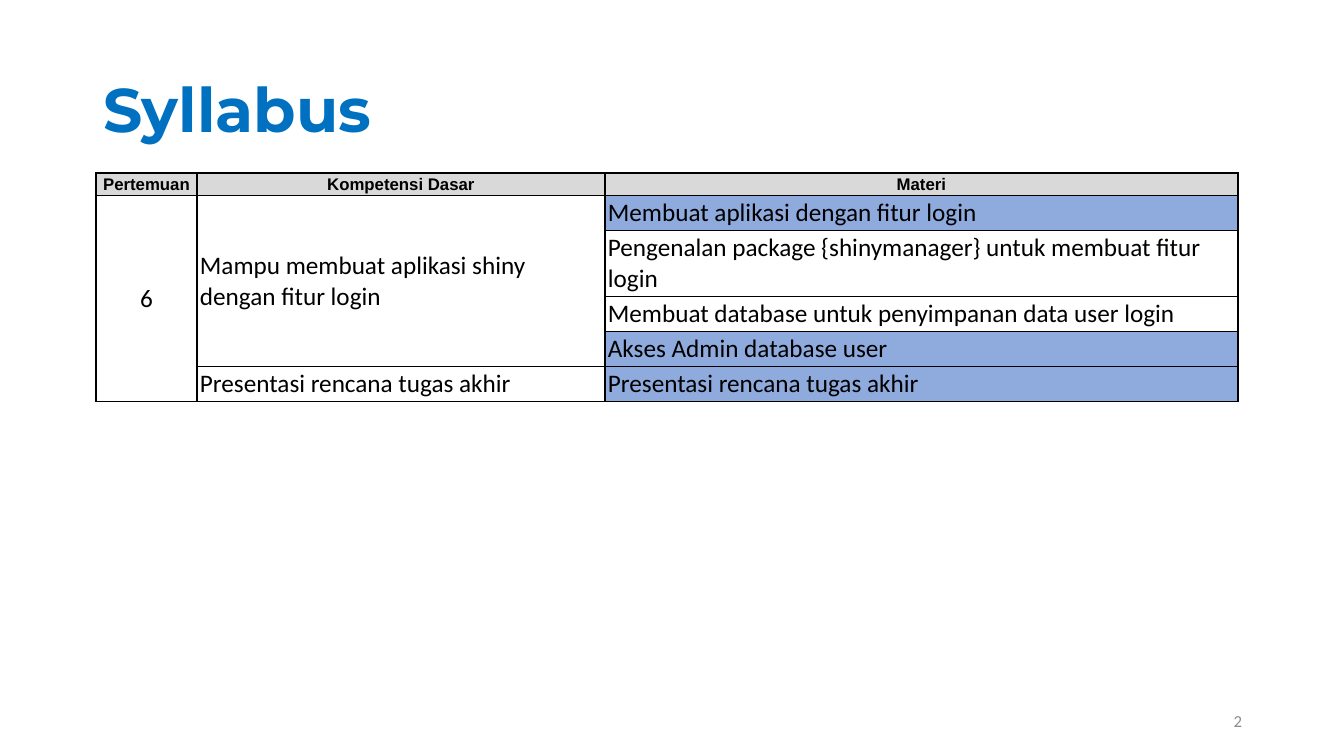
"""Build the Syllabus slide with its meeting, competence and material table."""
from lxml import etree
from pptx import Presentation
from pptx.dml.color import RGBColor
from pptx.enum.text import MSO_ANCHOR, MSO_AUTO_SIZE, PP_ALIGN
from pptx.oxml.ns import qn
from pptx.util import Pt

EMU_PER_PX = 914400 / 100.8
BLUE = RGBColor(0x00, 0x70, 0xC0)
BLACK = RGBColor(0x00, 0x00, 0x00)
HEADER_GREY = RGBColor(0xD9, 0xD9, 0xD9)
DONE_BLUE = RGBColor(0x8F, 0xAA, 0xDC)
NUMBER_GREY = RGBColor(0x8C, 0x8C, 0x8C)
LEFT, CENTER, RIGHT = PP_ALIGN.LEFT, PP_ALIGN.CENTER, PP_ALIGN.RIGHT
MIDDLE, BOTTOM = MSO_ANCHOR.MIDDLE, MSO_ANCHOR.BOTTOM
NO_AUTOFIT = MSO_AUTO_SIZE.NONE

COLUMN_WIDTHS = [101, 408, 633]
ROW_HEIGHTS = [22, 35, 65, 35, 35, 35]
ROWS = [
    ["Pertemuan", "Kompetensi Dasar", "Materi"],
    ["6", "Mampu membuat aplikasi shiny dengan fitur login",
     "Membuat aplikasi dengan fitur login"],
    ["", "", "Pengenalan package {shinymanager} untuk membuat fitur login"],
    ["", "", "Membuat database untuk penyimpanan data user login"],
    ["", "", "Akses Admin database user"],
    ["", "Presentasi rencana tugas akhir", "Presentasi rencana tugas akhir"],
]
SHADED_MATERIALS = {1, 4, 5}
BOTTOM_CELLS = {(0, 0), (0, 1), (5, 1)}


def px(length):
    return round(length * EMU_PER_PX)


def format_text(para, font_name, size, color, bold, alignment):
    para.alignment = alignment
    para.font.name = font_name
    para.font.size = Pt(size)
    para.font.color.rgb = color
    para.font.bold = bold


deck = Presentation()
deck.slide_width, deck.slide_height = px(1344), px(756)
page = deck.slides.add_slide(deck.slide_layouts[5])

title = page.shapes.title
title.left, title.top, title.width, title.height = px(93), px(40), px(1159), px(146)
title.text_frame.text = "Syllabus"
title.text_frame.auto_size = NO_AUTOFIT
title.text_frame.vertical_anchor = MIDDLE
title_para = title.text_frame.paragraphs[0]
title_para.line_spacing = 0.9
format_text(title_para, "Montserrat", 44, BLUE, True, LEFT)

table = page.shapes.add_table(
    len(ROWS), len(COLUMN_WIDTHS), px(96), px(173),
    px(sum(COLUMN_WIDTHS)), px(sum(ROW_HEIGHTS))).table
for column, width in zip(table.columns, COLUMN_WIDTHS):
    column.width = px(width)
for row, height in zip(table.rows, ROW_HEIGHTS):
    row.height = px(height)

for r, texts in enumerate(ROWS):
    for c, text in enumerate(texts):
        cell = table.cell(r, c)
        cell.text = text
        cell.margin_left = cell.margin_right = px(3)
        cell.margin_top = cell.margin_bottom = px(2)
        cell.vertical_anchor = BOTTOM if (r, c) in BOTTOM_CELLS else MIDDLE
        para = cell.text_frame.paragraphs[0]
        if r == 0:
            format_text(para, "Arial", 12, BLACK, True, CENTER)
        else:
            format_text(para, "Calibri", 18, BLACK, False, CENTER if c == 0 else LEFT)

        properties = cell._tc.get_or_add_tcPr()
        for side in ("lnL", "lnR", "lnT", "lnB"):
            border = etree.SubElement(properties, qn(f"a:{side}"), w=str(Pt(1)))
            line_fill = etree.SubElement(border, qn("a:solidFill"))
            etree.SubElement(line_fill, qn("a:srgbClr"), val=str(BLACK))

        if r == 0:
            cell.fill.solid()
            cell.fill.fore_color.rgb = HEADER_GREY
        elif c == 2 and r in SHADED_MATERIALS:
            cell.fill.solid()
            cell.fill.fore_color.rgb = DONE_BLUE
        else:
            cell.fill.background()

table.cell(1, 0).merge(table.cell(5, 0))
table.cell(1, 1).merge(table.cell(4, 1))

number_box = page.shapes.add_textbox(px(950), px(701), px(302), px(40))
number_frame = number_box.text_frame
number_frame.word_wrap = True
number_frame.vertical_anchor = MIDDLE
number_frame.text = "2"
format_text(number_frame.paragraphs[0], "Calibri", 12, NUMBER_GREY, False, RIGHT)

deck.save("out.pptx")
